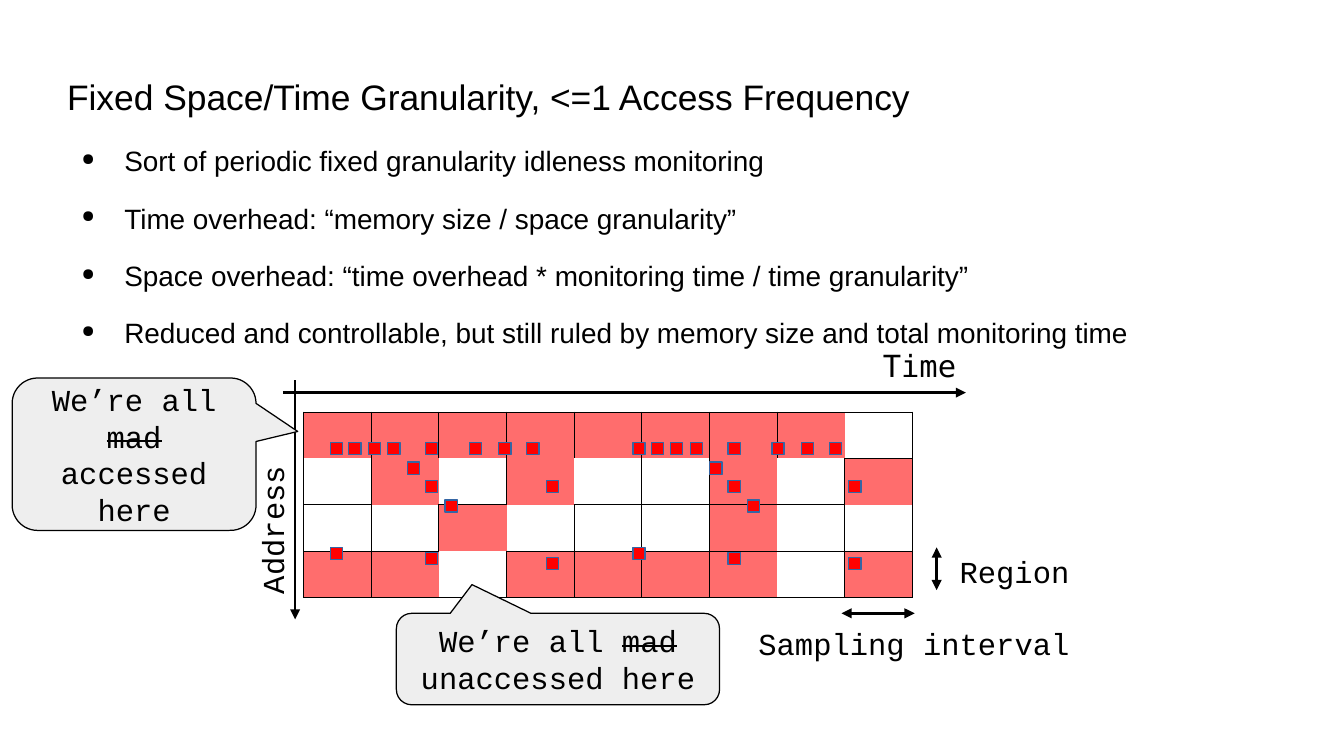
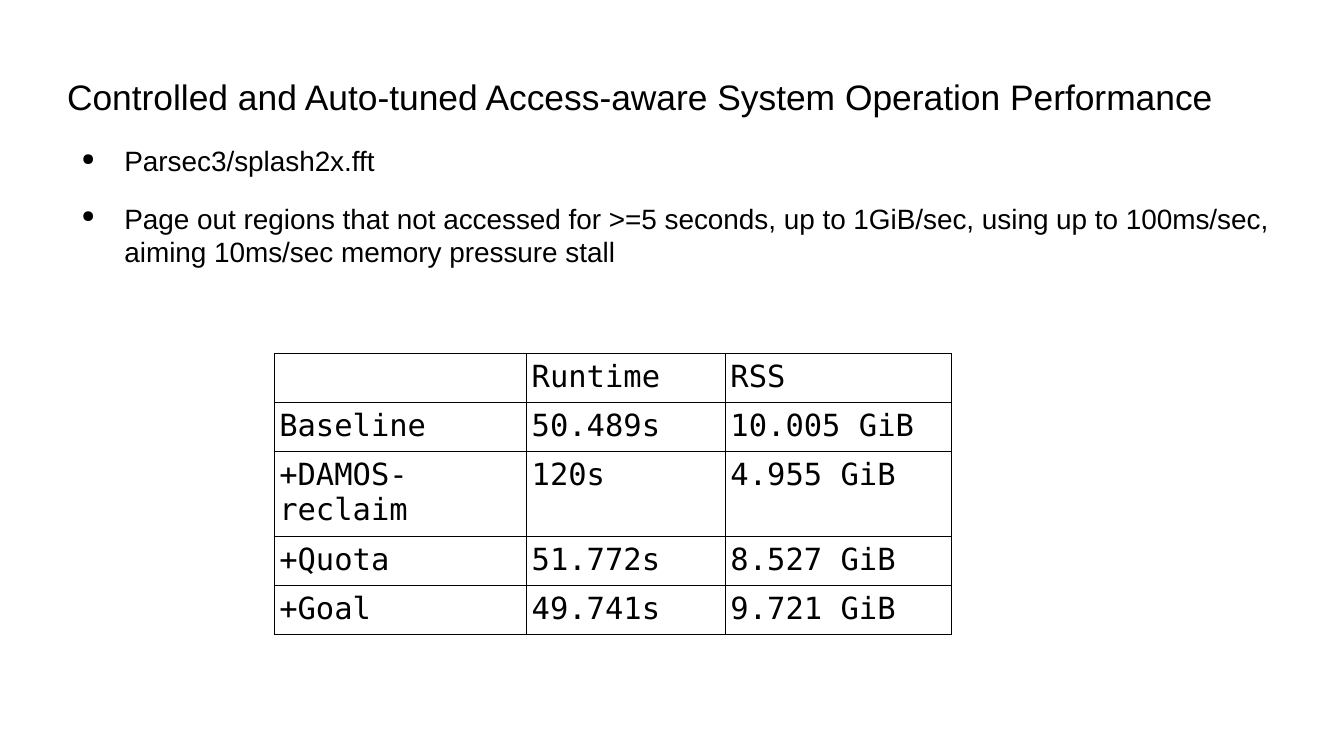
from dataclasses import dataclass
from typing import NamedTuple, Optional

import pptx
import pptx.dml.color
import pptx.enum.shapes
import pptx.enum.text
import pptx.oxml
import pptx.oxml.ns
import pptx.util
from pptx.util import Inches

Shapes = pptx.enum.shapes.MSO_SHAPE
Anchor = pptx.enum.text.MSO_ANCHOR
Align = pptx.enum.text.PP_ALIGN


@dataclass(frozen=True)
class Theme:
    black: str = "000000"
    accessed: str = "FF6D6D"
    dot: str = "FF0000"
    dot_line: str = "3465A4"
    callout: str = "EEEEEE"
    sans: str = "Arial"
    typewriter: str = "Courier New"
    mono: str = "DejaVu Sans Mono"
    title_size: float = 20.9
    body_size: float = 16.5
    label_size: float = 18
    bullet_gap: float = 14.1
    axis_width: float = 1.5
    border_width: float = 0.57
    hairline: float = 0


THEME = Theme()
NO_STYLE_TABLE = "{2D5ABB26-0587-4C30-8999-92F81FD0307C}"


class Box(NamedTuple):
    left: float
    top: float
    width: float
    height: float

    def lengths(self) -> list:
        return [Inches(value) for value in self]


class Label(NamedTuple):
    text: str
    box: Box
    font: str = THEME.typewriter
    rotation: int = 0


class Arrow(NamedTuple):
    start: tuple[float, float]
    end: tuple[float, float]
    width: float
    ends: tuple[str, ...]


class Callout(NamedTuple):
    box: Box
    tip: tuple[float, float]
    ending: str


# Slide content
REGION_LABELS = [
    Label("Time", Box(7.14, 2.8, 0.8, 0.44), THEME.mono),
    Label("Address", Box(1.68, 3.95, 1.37, 0.67), rotation=270),
    Label("Sampling interval", Box(6.12, 5.08, 2.75, 0.38)),
    Label("Region", Box(7.77, 4.49, 1.1, 0.38)),
]
ARROWS = [
    Arrow((2.42, 3.12), (2.42, 5.08), THEME.axis_width, ("tailEnd",)),
    Arrow((2.32, 3.22), (7.92, 3.22), THEME.axis_width, ("tailEnd",)),
    Arrow((6.9, 5.03), (7.5, 5.03), THEME.hairline, ("headEnd", "tailEnd")),
    Arrow((7.68, 4.49), (7.68, 4.84), THEME.hairline, ("headEnd", "tailEnd")),
]
CALLOUTS = [
    Callout(Box(0.1, 3.1, 2, 1.25), (0.671, -0.149), " accessed here"),
    Callout(Box(3.25, 5.03, 2.65, 0.75), (-0.266, -0.814), " unaccessed here"),
]
# "#" is an accessed region, "." an idle one; letters name the drawn sides,
# and a bare "#" has all four
REGION_ROWS = [
    "# # # # # # # # .tr",
    ".lb #lrb . #lrb .rb .lb #lrb .b #",
    ".ltr .l # .r .ltr .lt # .trb .lr",
    "# # .b # # #ltb # .tb #",
]
# Access dots of one period, as top -> lefts; the pattern then repeats
ACCESS_DOTS = {
    3.63: [2.71, 2.86, 3.02, 3.18, 3.49, 3.85, 4.09, 4.32],
    3.79: [3.34],
    3.94: [3.49, 4.48],
    4.1: [3.65],
    4.49: [2.71],
    4.53: [3.49],
    4.57: [4.48],
}
DOT_PERIOD = 2.48
DOT_SIZE = 0.1
RESULTS = [
    ["", "Runtime", "RSS"],
    ["Baseline", "50.489s", "10.005 GiB"],
    ["+DAMOS-reclaim", "120s", "4.955 GiB"],
    ["+Quota", "51.772s", "8.527 GiB"],
    ["+Goal", "49.741s", "9.721 GiB"],
]


def color(value: str) -> pptx.dml.color.RGBColor:
    return pptx.dml.color.RGBColor.from_string(value)


def add_element(parent, tag: str, **attributes: str):
    """Append a drawing element to an XML parent."""
    element = pptx.oxml.parse_xml(f"<a:{tag} {pptx.oxml.ns.nsdecls('a')}/>")
    for name, value in attributes.items():
        element.set(name, value)
    parent.append(element)
    return element


# Text
def add_run(paragraph, text: str, font: str, size: float, strike: bool = False) -> None:
    run = paragraph.add_run()
    run.text = text
    run.font.name = font
    run.font.size = pptx.util.Pt(size)
    run.font.color.rgb = color(THEME.black)
    if strike:
        run.font._element.set("strike", "sngStrike")


def add_text_frame(slide, box: Box, margins: tuple[float, float],
                   wrap: bool = True, rotation: int = 0):
    shape = slide.shapes.add_textbox(*box.lengths())
    shape.rotation = rotation
    frame = shape.text_frame
    frame.word_wrap = wrap
    frame.margin_left = frame.margin_right = Inches(margins[0])
    frame.margin_top = frame.margin_bottom = Inches(margins[1])
    return frame


def make_bullet(paragraph) -> None:
    properties = paragraph._p.get_or_add_pPr()
    properties.set("marL", str(Inches(0.47)))
    properties.set("indent", str(Inches(-0.35)))
    bullet_color = add_element(properties, "buClr")
    add_element(bullet_color, "srgbClr", val=THEME.black)
    add_element(properties, "buSzPct", val="60000")
    add_element(properties, "buChar", char="●")


def add_content_slide(presentation, title: str, bullets: list[str]):
    """Add a slide with the shared title and bullet list."""
    slide = presentation.slides.add_slide(presentation.slide_layouts[6])
    frame = add_text_frame(slide, Box(0.55, 0.54, 9.92, 0.5), (0, 0))
    frame.vertical_anchor = Anchor.MIDDLE
    add_run(frame.paragraphs[0], title, THEME.sans, THEME.title_size)

    frame = add_text_frame(slide, Box(0.55, 1.18, 9.92, 4.37), (0, 0))
    for index, text in enumerate(bullets):
        paragraph = frame.add_paragraph() if index else frame.paragraphs[0]
        make_bullet(paragraph)
        if index:
            paragraph.space_before = pptx.util.Pt(THEME.bullet_gap)
        add_run(paragraph, text, THEME.sans, THEME.body_size)
    return slide


# Tables
def add_plain_table(slide, box: Box, rows: int, widths: list[float]):
    table = slide.shapes.add_table(rows, len(widths), *box.lengths()).table
    table.first_row = table.horz_banding = False
    table._tbl.tblPr[0].text = NO_STYLE_TABLE
    for column, width in zip(table.columns, widths):
        column.width = Inches(width)
    for row in table.rows:
        row.height = Inches(box.height / rows)
    return table


def style_cell(cell, sides: str = "ltrb", fill: Optional[str] = None,
               vertical_margin: float = 0.05) -> None:
    cell.margin_left = cell.margin_right = Inches(0.04)
    cell.margin_top = cell.margin_bottom = Inches(vertical_margin)
    properties = cell._tc.get_or_add_tcPr()
    for side in "lrtb":
        width = str(pptx.util.Pt(THEME.border_width))
        border = add_element(properties, "ln" + side.upper(), w=width)
        if side in sides:
            add_element(add_element(border, "solidFill"), "srgbClr", val=THEME.black)
        else:
            add_element(border, "noFill")
    if fill:
        cell.fill.solid()
        cell.fill.fore_color.rgb = color(fill)
    else:
        cell.fill.background()


def add_region_grid(slide) -> None:
    columns = len(REGION_ROWS[0].split())
    box = Box(2.49, 3.38, 4.99, 1.52)
    table = add_plain_table(slide, box, len(REGION_ROWS), [box.width / columns] * columns)
    for row_index, row in enumerate(REGION_ROWS):
        for column_index, code in enumerate(row.split()):
            sides = "ltrb" if code == "#" else code[1:]
            fill = THEME.accessed if code[0] == "#" else None
            style_cell(table.cell(row_index, column_index), sides, fill, 0)


def add_results_table(slide) -> None:
    table = add_plain_table(slide, Box(2.25, 2.9, 5.55, 1.9), len(RESULTS), [2.07, 1.63, 1.85])
    for row_index, row in enumerate(RESULTS):
        for column_index, text in enumerate(row):
            cell = table.cell(row_index, column_index)
            style_cell(cell)
            if text:
                add_run(cell.text_frame.paragraphs[0], text, THEME.mono, THEME.label_size)


# Diagram parts
def add_filled_shape(slide, kind, box: Box, fill: str, line: str):
    shape = slide.shapes.add_shape(kind, *box.lengths())
    shape.shadow.inherit = False
    shape.fill.solid()
    shape.fill.fore_color.rgb = color(fill)
    shape.line.color.rgb = color(line)
    shape.line.width = pptx.util.Pt(THEME.hairline)
    return shape


def add_arrow(slide, arrow: Arrow) -> None:
    points = [Inches(value) for value in arrow.start + arrow.end]
    connector = slide.shapes.add_connector(pptx.enum.shapes.MSO_CONNECTOR.STRAIGHT, *points)
    connector.line.color.rgb = color(THEME.black)
    connector.line.width = pptx.util.Pt(arrow.width)
    for end in arrow.ends:
        add_element(connector.line._get_or_add_ln(), end, type="triangle")
    add_element(connector._element.spPr, "effectLst")


def add_label(slide, label: Label) -> None:
    frame = add_text_frame(slide, label.box, (0.1, 0.05), bool(label.rotation), label.rotation)
    add_run(frame.paragraphs[0], label.text, label.font, THEME.label_size)


def add_callout(slide, callout: Callout) -> None:
    shape = add_filled_shape(slide, Shapes.ROUNDED_RECTANGULAR_CALLOUT, callout.box,
                             THEME.callout, THEME.black)
    for index, value in enumerate((*callout.tip, 0.167)):
        shape.adjustments[index] = value
    frame = shape.text_frame
    frame.word_wrap = True
    frame.vertical_anchor = Anchor.MIDDLE
    paragraph = frame.paragraphs[0]
    paragraph.alignment = Align.CENTER
    for text in ("We’re all ", "mad", callout.ending):
        add_run(paragraph, text, THEME.typewriter, THEME.label_size, strike=text == "mad")


def add_access_dots(slide) -> None:
    for shift in (0, DOT_PERIOD):
        for top, lefts in ACCESS_DOTS.items():
            for left in lefts:
                box = Box(left + shift, top, DOT_SIZE, DOT_SIZE)
                add_filled_shape(slide, Shapes.RECTANGLE, box, THEME.dot, THEME.dot_line)


def main() -> None:
    presentation = pptx.Presentation()
    presentation.slide_width = Inches(11.02)
    presentation.slide_height = Inches(6.2)

    # Granularity diagram
    slide = add_content_slide(presentation, "Fixed Space/Time Granularity, <=1 Access Frequency", [
        "Sort of periodic fixed granularity idleness monitoring",
        "Time overhead: “memory size / space granularity”",
        "Space overhead: “time overhead * monitoring time / time granularity”",
        "Reduced and controllable, but still ruled by memory size and total monitoring time",
    ])
    add_region_grid(slide)
    add_access_dots(slide)
    for arrow in ARROWS:
        add_arrow(slide, arrow)
    for label in REGION_LABELS:
        add_label(slide, label)
    for callout in CALLOUTS:
        add_callout(slide, callout)

    # Performance results
    slide = add_content_slide(
        presentation, "Controlled and Auto-tuned Access-aware System Operation Performance", [
            "Parsec3/splash2x.fft",
            "Page out regions that not accessed for >=5 seconds, up to 1GiB/sec, "
            "using up to 100ms/sec, aiming 10ms/sec memory pressure stall",
        ])
    add_results_table(slide)
    presentation.save("out.pptx")


if __name__ == "__main__":
    main()
